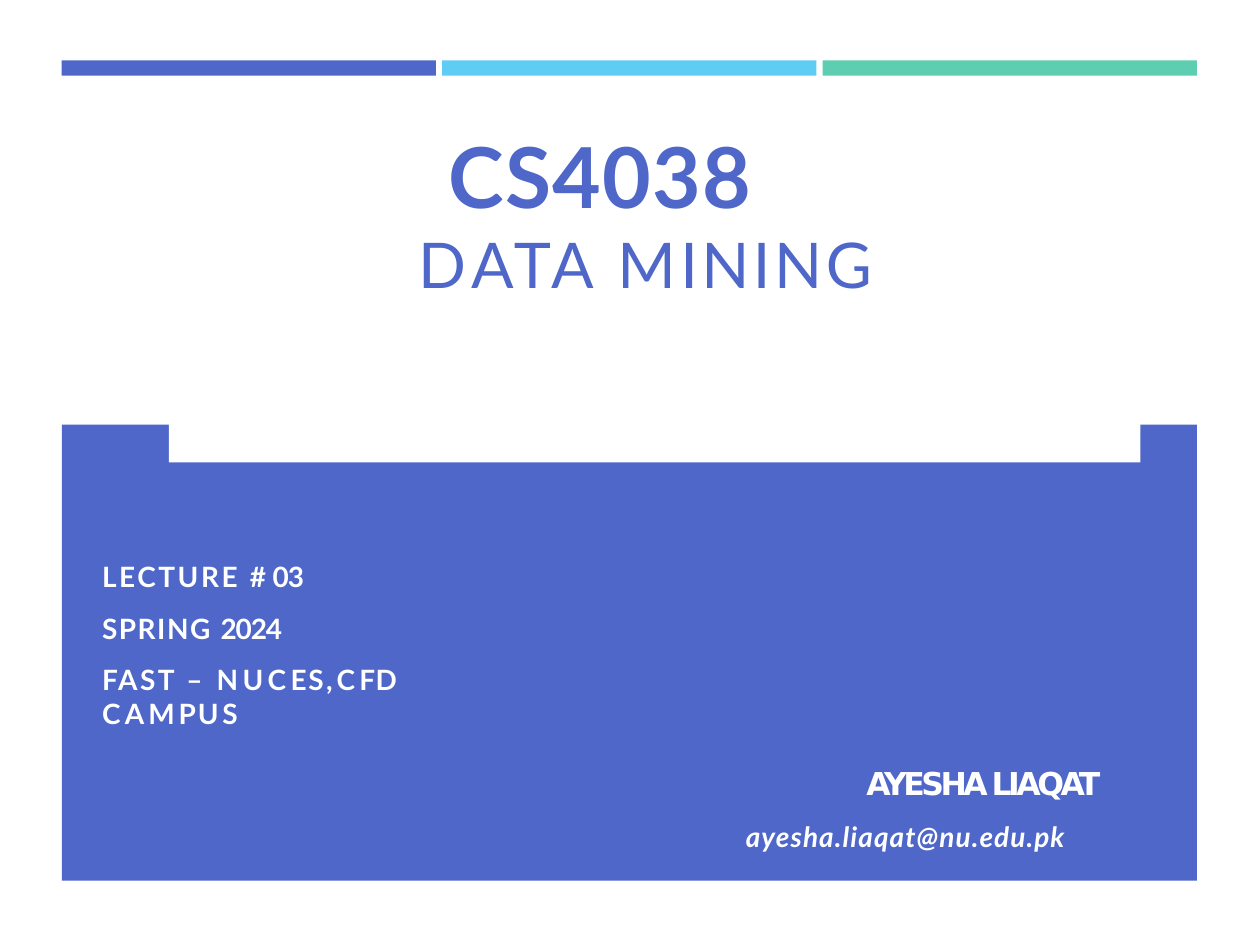
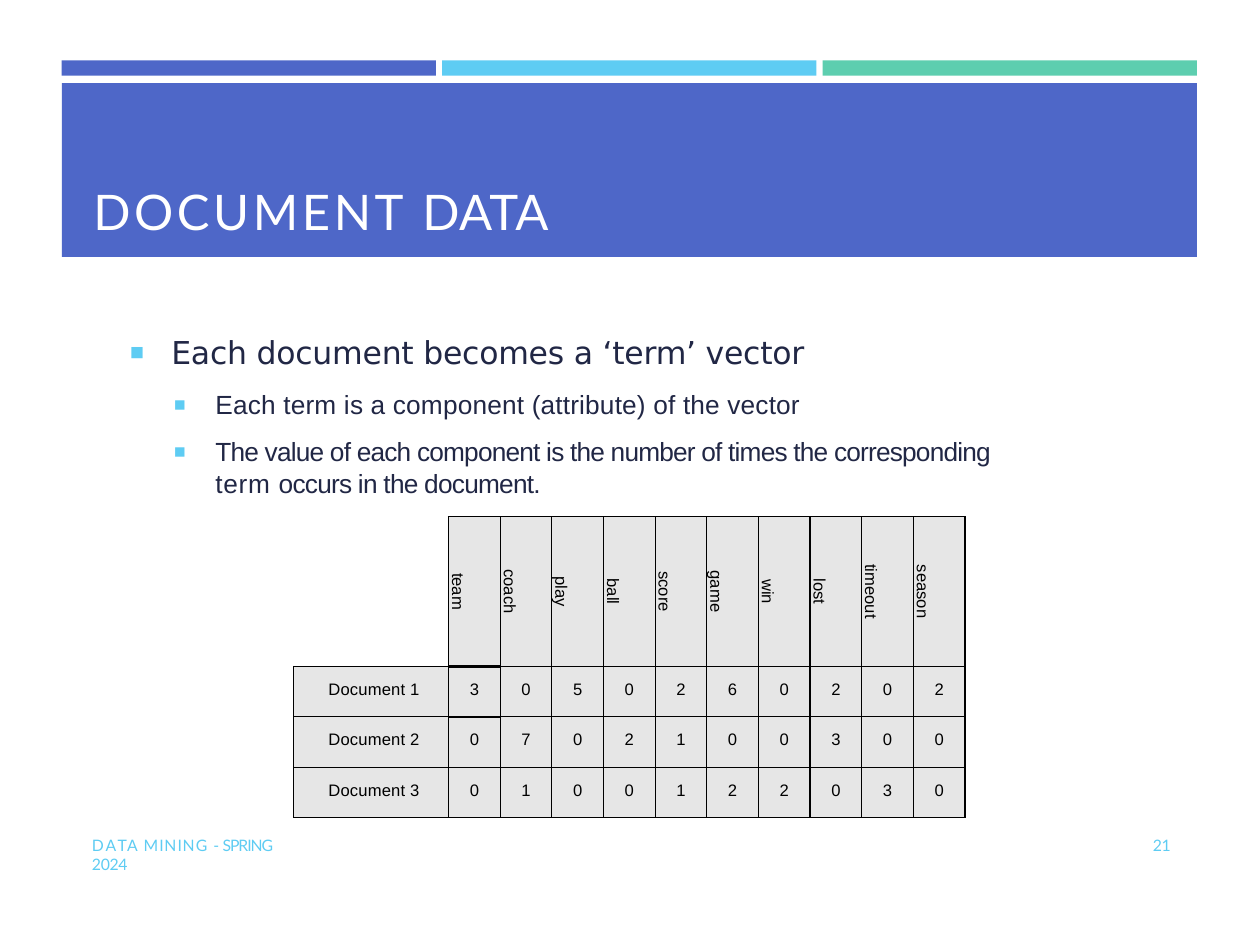
import dataclasses
import typing

import lxml.etree
import pptx
import pptx.dml.color
import pptx.enum.shapes
import pptx.enum.text
import pptx.oxml.ns
import pptx.util

Inches = pptx.util.Inches
Pt = pptx.util.Pt
Align = pptx.enum.text.PP_ALIGN

BLUE = "4E67C8"
SKY = "5ECCF3"
GREEN = "5DCEAF"
NAVY = "212745"
WHITE = "FFFFFF"
BLACK = "000000"
GRAY = "E6E6E6"

LEFT_EDGE = 0.49
CONTENT_WIDTH = 9.01
BAND_TOP = 0.48
BAND_GAP = 0.05
BAND_COLORS = [BLUE, SKY, GREEN]

TERMS = ["team", "coach", "play", "ball", "score", "game", "win", "lost", "timeout", "season"]
TERM_COUNTS = {
    "Document 1": [3, 0, 5, 0, 2, 6, 0, 2, 0, 2],
    "Document 2": [0, 7, 0, 2, 1, 0, 0, 3, 0, 0],
    "Document 3": [0, 1, 0, 0, 1, 2, 2, 0, 3, 0],
}


class Box(typing.NamedTuple):
    left: float
    top: float
    width: float
    height: float

    def lengths(self) -> list[pptx.util.Length]:
        return [Inches(value) for value in self]


class Run(typing.NamedTuple):
    text: str
    spacing: float = 0


@dataclasses.dataclass(frozen=True)
class Style:
    size: float
    color: str
    font: str = "Lato"
    bold: bool = False
    italic: bool = False


@dataclasses.dataclass(frozen=True)
class Line:
    runs: list[Run]
    style: Style
    align: Align = Align.LEFT
    before: float = 0
    margin: float = 0.01
    hanging: float = 0
    level: int = 0
    bullet: str = ""


COURSE_CODE = Style(48, BLUE, bold=True)
COURSE_NAME = Style(36, BLUE)
LECTURE = Style(16, WHITE, bold=True)
AUTHOR = Style(18, WHITE, "DejaVu Sans", bold=True)
EMAIL = Style(16, WHITE, bold=True, italic=True)
SLIDE_TITLE = Style(28, WHITE)
MAIN_POINT = Style(18, NAVY, "DejaVu Sans")
SUB_POINT = Style(15, NAVY, "Arial")
FOOTER = Style(9, SKY)
CELL = Style(9.5, BLACK, "Arial")

COURSE_NAME_RUNS = [
    Run("D", 2.9), Run("A", -0.9), Run("T", -2.8), Run("A ", 2.8),
    Run("M", 2.5), Run("ININ", 2), Run("G ", 2.3),
]
CAMPUS_RUNS = [
    Run("F", 0.2), Run("AS", 1.4), Run("T ", 1.7), Run("– ", 2.1), Run("NUC", 2.5),
    Run("E", 1), Run("S", 1.4), Run(", ", -1.6), Run("C", 2.5), Run("F", 0.2), Run("D C", 2.5),
    Run("A", 2.4), Run("M", 2.1), Run("P", 1.1), Run("U", 2.2), Run("S", 1.4),
]
FOOTER_RUNS = [
    Run("D", 0.9), Run("A", 0.8), Run("T", 0.1), Run("A ", 0.7), Run("M", 0.6),
    Run("I", 0.3), Run("N", 0.7), Run("I", 0.3), Run("N", 0.7), Run("G ", 0.6),
    Run("- ", -0.4), Run("SPRING", -0.6), Run(" 2024", -0.2),
]


def rgb(color: str) -> pptx.dml.color.RGBColor:
    return pptx.dml.color.RGBColor.from_string(color)


def add_element(parent, tag: str, **attributes: str):
    element = lxml.etree.SubElement(parent, pptx.oxml.ns.qn(tag))
    for name, value in attributes.items():
        element.set(name, value)
    return element


def write_paragraph(paragraph, line: Line) -> None:
    paragraph.level = line.level
    paragraph.alignment = line.align
    paragraph.line_spacing = 1.0
    paragraph.space_before = Pt(line.before)
    properties = paragraph._p.get_or_add_pPr()
    properties.set("marL", str(Inches(line.margin)))
    properties.set("indent", str(Inches(line.hanging)))
    if line.bullet:
        add_element(add_element(properties, "a:buClr"), "a:srgbClr", val=SKY)
        add_element(properties, "a:buSzPct", val="94000")
        add_element(properties, "a:buChar", char=line.bullet)
    else:
        add_element(properties, "a:buNone")
    for piece in line.runs:
        run = paragraph.add_run()
        run.text = piece.text
        font = run.font
        font.name = line.style.font
        font.size = Pt(line.style.size)
        font.bold = line.style.bold
        font.italic = line.style.italic
        font.color.rgb = rgb(line.style.color)
        font._element.set("spc", str(round(piece.spacing * 100)))


def write_text(frame, lines: list[Line], top_inset: float) -> None:
    frame.word_wrap = True
    frame.auto_size = pptx.enum.text.MSO_AUTO_SIZE.NONE
    frame.vertical_anchor = pptx.enum.text.MSO_ANCHOR.TOP
    frame.margin_left = frame.margin_right = frame.margin_bottom = 0
    frame.margin_top = Inches(top_inset)
    for index, line in enumerate(lines):
        paragraph = frame.add_paragraph() if index else frame.paragraphs[0]
        write_paragraph(paragraph, line)


def add_text(slide, box: Box, lines: list[Line], top_inset: float = 0.01) -> None:
    text_box = slide.shapes.add_textbox(*box.lengths())
    write_text(text_box.text_frame, lines, top_inset)


def fill_placeholder(placeholder, box: Box, lines: list[Line], top_inset: float = 0.01) -> None:
    placeholder.left, placeholder.top, placeholder.width, placeholder.height = box.lengths()
    placeholder.element.getparent().append(placeholder.element)
    write_text(placeholder.text_frame, lines, top_inset)


def add_rectangle(slide, box: Box, color: str) -> None:
    shape = slide.shapes.add_shape(pptx.enum.shapes.MSO_SHAPE.RECTANGLE, *box.lengths())
    shape.shadow.inherit = False
    shape.fill.solid()
    shape.fill.fore_color.rgb = rgb(color)
    shape.line.fill.background()


def add_banded_slide(presentation, layout_index: int):
    slide = presentation.slides.add_slide(presentation.slide_layouts[layout_index])
    band_width = (CONTENT_WIDTH - 2 * BAND_GAP) / len(BAND_COLORS)
    for index, color in enumerate(BAND_COLORS):
        left = LEFT_EDGE + index * (band_width + BAND_GAP)
        add_rectangle(slide, Box(left, BAND_TOP, band_width, 0.12), color)
    return slide


def draw_borders(cell, sides: dict[str, float]) -> None:
    properties = cell._tc.get_or_add_tcPr()
    for side, width in sides.items():
        border = add_element(properties, f"a:ln{side}", w=str(Pt(width)))
        add_element(add_element(border, "a:solidFill"), "a:srgbClr", val=BLACK)


def write_cell(cell, run: Run, align: Align, before: float, sides: dict[str, float]) -> None:
    draw_borders(cell, sides)
    cell.fill.solid()
    cell.fill.fore_color.rgb = rgb(GRAY)
    cell.margin_left = cell.margin_right = cell.margin_bottom = 0
    cell.margin_top = Inches(0.11)
    write_paragraph(cell.text_frame.paragraphs[0], Line([run], CELL, align, before, margin=0))


def add_term_table(slide) -> None:
    rows = [TERMS, *TERM_COUNTS.values()]
    box = Box(2.33, 4.1, 5.32, 2.39)
    table = slide.shapes.add_table(len(rows), len(TERMS) + 1, *box.lengths()).table
    table.first_row = table.horz_banding = False
    for index, column in enumerate(table.columns):
        column.width = Inches(0.41 if index else 1.23)
    for index, row in enumerate(table.rows):
        row.height = Inches(0.4 if index else 1.19)

    thin = dict.fromkeys("LRTB", 0.75)
    highlighted = {
        (0, 1): thin | {"B": 1.5},
        (1, 1): thin | {"T": 1.5, "B": 1.5},
        (2, 1): thin | {"T": 1.5},
    }
    corner = table.cell(0, 0)
    draw_borders(corner, {"R": 0.75, "B": 0.75})
    corner.fill.background()
    for row_index, values in enumerate(rows):
        for column_index, value in enumerate(values, start=1):
            cell = table.cell(row_index, column_index)
            sides = highlighted.get((row_index, column_index), thin)
            write_cell(cell, Run(str(value)), Align.CENTER, 7.7 if row_index else 8.2, sides)
            if row_index == 0:
                cell._tc.get_or_add_tcPr().set("vert", "vert")
    for row_index, name in enumerate(TERM_COUNTS, start=1):
        cell = table.cell(row_index, 0)
        write_cell(cell, Run(name, 0.1), Align.RIGHT, 7.7, thin)
        cell.margin_right = Inches(0.23)


def build_cover(presentation) -> None:
    slide = add_banded_slide(presentation, 0)
    add_rectangle(slide, Box(LEFT_EDGE, 3.37, CONTENT_WIDTH, 3.62), BLUE)
    add_rectangle(slide, Box(1.34, 1.77, 7.71, 1.9), WHITE)
    course_code = Line([Run("CS4038", 0.8)], COURSE_CODE, margin=1.05)
    fill_placeholder(slide.shapes.title, Box(2.51, 0.98, 5.36, 0.83), [course_code])
    course_name = Line(COURSE_NAME_RUNS, COURSE_NAME, Align.CENTER)
    add_text(slide, Box(1.46, 1.78, 7.47, 0.58), [course_name])
    fill_placeholder(
        slide.placeholders[1],
        Box(0.8, 4.29, 3.32, 1.5),
        [
            Line([Run("LECTURE ", 1.5), Run("# ", -0.1), Run("03", -0.6)], LECTURE, before=10.8),
            Line([Run("SPRING ", 0.9), Run("2024", -0.6)], LECTURE, before=10.8),
            Line(CAMPUS_RUNS, LECTURE, before=9.8),
        ],
        0.15,
    )
    add_text(
        slide,
        Box(5.91, 5.88, 3.3, 0.89),
        [
            Line([Run("AYESHA LIAQAT", -2)], AUTHOR, Align.CENTER, 12.7, margin=0.49),
            Line([Run("ayesha.liaqat@nu.edu.pk", 0.65)], EMAIL, before=10.4),
        ],
        0.18,
    )


def build_document_data(presentation) -> None:
    slide = add_banded_slide(presentation, 1)
    title = slide.shapes.title
    title.fill.solid()
    title.fill.fore_color.rgb = rgb(BLUE)
    title_line = Line([Run("DOCUMENT ", 2.1), Run("DATA", 0.3)], SLIDE_TITLE, margin=0.25)
    fill_placeholder(title, Box(LEFT_EDGE, 0.66, CONTENT_WIDTH, 1.38), [title_line], 0.78)
    main_point = Line(
        [Run("Each document becomes a ‘term’ vector", -0.15)],
        MAIN_POINT, before=13.2, margin=0.35, hanging=-0.33, bullet="◾",
    )
    sub_point = dataclasses.replace(
        main_point,
        runs=[Run("Each term is a component (attribute) of the vector", 0.1)],
        style=SUB_POINT, before=10.2, margin=0.7, level=1,
    )
    value_point = dataclasses.replace(
        sub_point,
        runs=[
            Run("The value of each component is the number of times the corresponding ", -0.45),
            Run("term ", 0.4),
            Run("occurs in the document.", -0.42),
        ],
        before=9.1,
    )
    points = [main_point, sub_point, value_point]
    fill_placeholder(slide.placeholders[1], Box(1.01, 2.46, 7.1, 1.52), points, 0.18)
    add_term_table(slide)
    add_text(slide, Box(0.72, 6.63, 1.69, 0.3), [Line(FOOTER_RUNS, FOOTER)], 0)
    add_text(slide, Box(9.11, 6.63, 0.21, 0.17), [Line([Run("21", -0.2)], FOOTER, margin=0.04)], 0)


def main() -> None:
    presentation = pptx.Presentation()
    presentation.slide_width = Inches(10)
    presentation.slide_height = Inches(7.5)
    build_cover(presentation)
    build_document_data(presentation)
    presentation.save("out.pptx")


if __name__ == "__main__":
    main()
